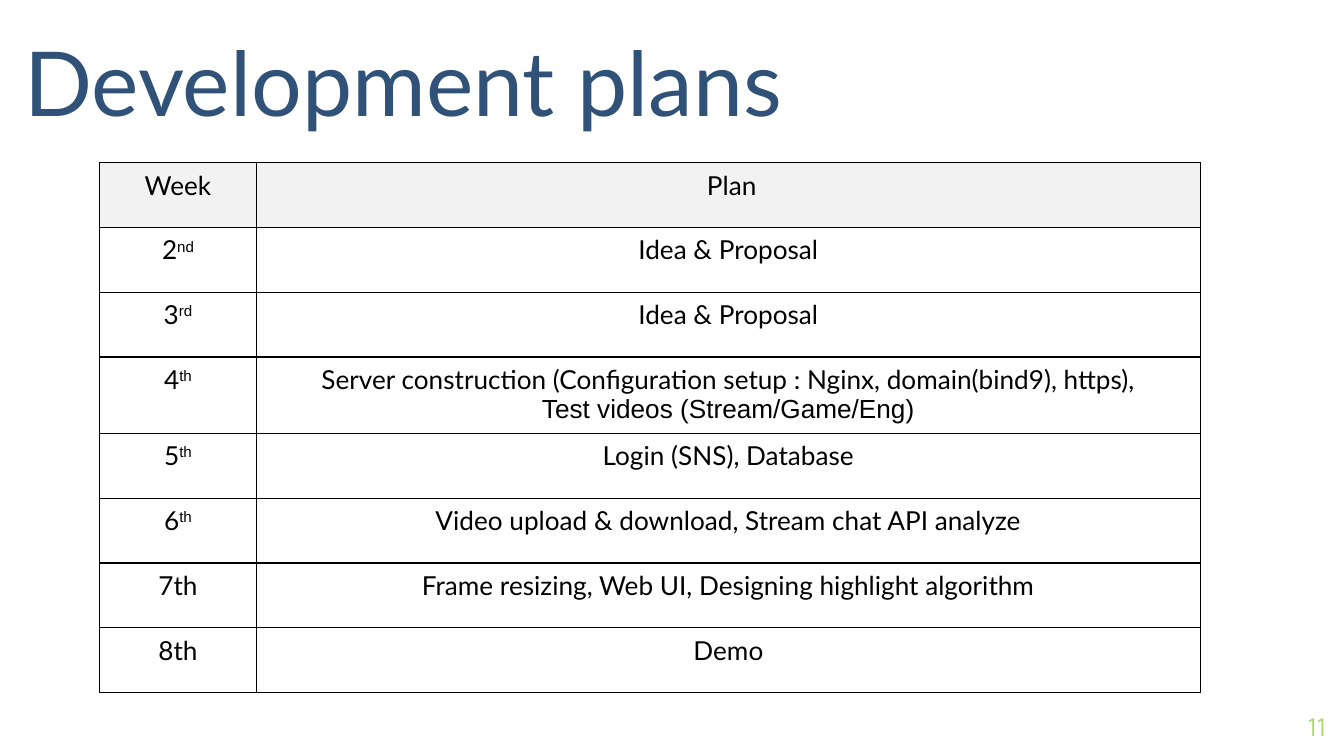
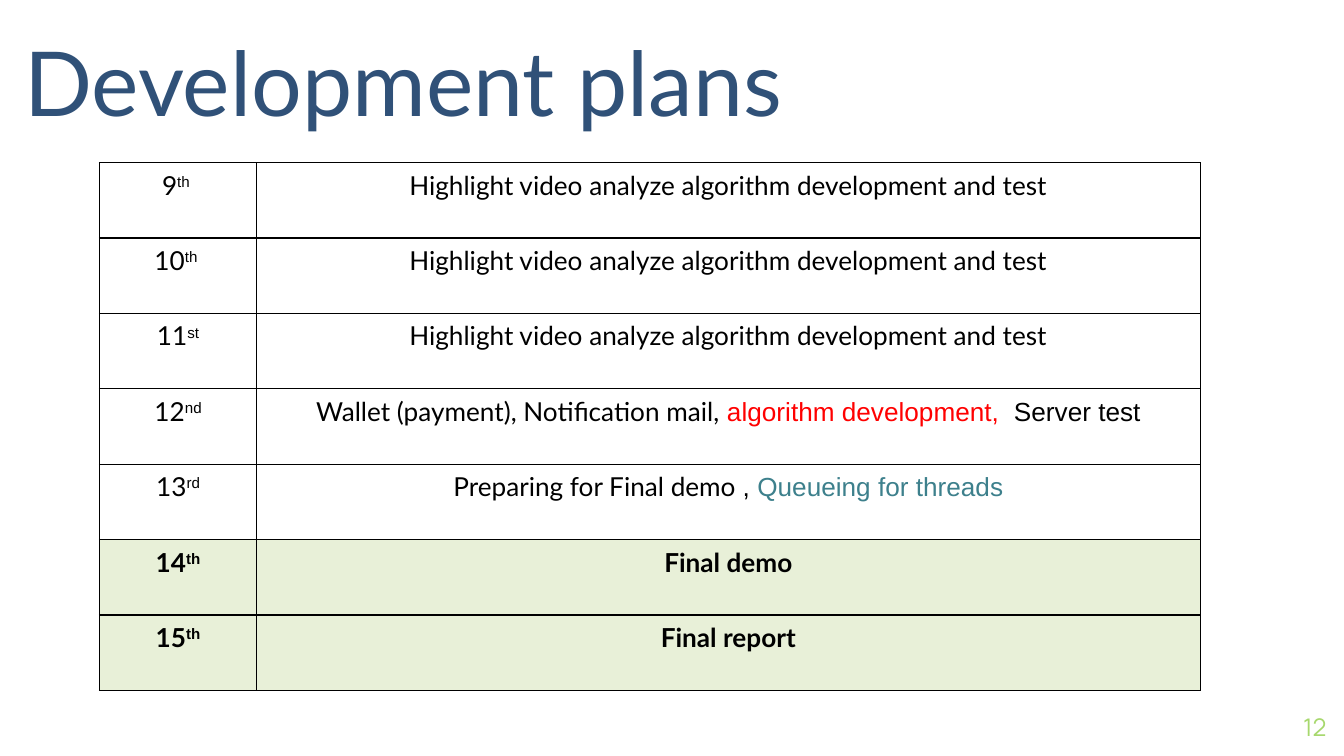
from lxml import etree
from pptx import Presentation
from pptx.dml.color import RGBColor
from pptx.enum.text import MSO_ANCHOR, PP_ALIGN
from pptx.oxml.ns import qn
from pptx.util import Pt

LEFT, CENTER, RIGHT = PP_ALIGN.LEFT, PP_ALIGN.CENTER, PP_ALIGN.RIGHT
MIDDLE, BOTTOM = MSO_ANCHOR.MIDDLE, MSO_ANCHOR.BOTTOM

BLACK, WHITE, GREY, PALE_GREEN = "000000", "FFFFFF", "F2F2F2", "E8F0D8"
NAVY, LIME, RED, TEAL = "305178", "A7D86D", "FF0000", "3D808C"

TITLE_STYLE = {"name": "Lato", "size": Pt(48), "color": NAVY}
NUMBER_STYLE = {"name": "Manrope", "size": Pt(13), "color": LIME}
CELL_STYLE = {"name": "Lato", "size": Pt(14), "color": BLACK, "bold": False}
ARIAL = {"name": "Arial"}
SUPERSCRIPT = {"name": "Arial", "baseline": "30000"}

TITLE_BOX = (13, 4.3, 496, 67.7)
NUMBER_BOX = (667.4, 373.7, 43.2, 31)
TABLE_BOX = (53.3, 87.1, 589.7, 283)
COLUMN_WIDTHS = (84.2, 505.5)


def colour(value):
    return RGBColor.from_string(value)


def add_span(para, text, style):
    span = para.add_run()
    span.text = text
    for key, value in style.items():
        if key == "color":
            span.font.color.rgb = colour(value)
        elif key == "baseline":
            span._r.get_or_add_rPr().set(key, value)
        else:
            setattr(span.font, key, value)


def add_text(page, area, text, style, align, anchor):
    box = page.shapes.add_textbox(*map(Pt, area))
    frame = box.text_frame
    settings = {"word_wrap": True, "vertical_anchor": anchor}
    settings.update({f"margin_{side}": 0 for side in ("left", "top", "right", "bottom")})
    for key, value in settings.items():
        setattr(frame, key, value)
    para = frame.paragraphs[0]
    para.alignment = align
    add_span(para, text, style)


def add_borders(cell):
    properties = cell._tc.get_or_add_tcPr()
    for side in ("lnL", "lnR", "lnT", "lnB"):
        line = etree.SubElement(properties, qn(f"a:{side}"), w=str(Pt(0.75)))
        fill = etree.SubElement(line, qn("a:solidFill"))
        etree.SubElement(fill, qn("a:srgbClr"), val=BLACK)


def fill_cell(cell, lines, fill, bold):
    add_borders(cell)
    cell.fill.solid()
    cell.fill.fore_color.rgb = colour(fill)
    for index, spans in enumerate(lines):
        frame = cell.text_frame
        para = frame.add_paragraph() if index else frame.paragraphs[0]
        para.alignment = CENTER
        for text, style in spans:
            add_span(para, text, {**CELL_STYLE, "bold": bold, **style})


def add_plan_table(page, area, row_height, rows):
    frame = page.shapes.add_table(len(rows), len(COLUMN_WIDTHS), *map(Pt, area))
    table = frame.table
    table.first_row = table.horz_banding = False
    for column, width in zip(table.columns, COLUMN_WIDTHS):
        column.width = Pt(width)
    for row, (week, plan, fill, bold) in zip(table.rows, rows):
        row.height = Pt(row_height)
        for cell, lines in zip(row.cells, (week, plan)):
            fill_cell(cell, lines, fill, bold)


def plan_row(number, suffix, *lines, fill=WHITE, bold=False):
    week = [(number, {})] + ([(suffix, SUPERSCRIPT)] if suffix else [])
    plan = [[(line, {})] if isinstance(line, str) else line for line in lines]
    return [week], plan, fill, bold


def add_plan_page(deck, number, row_height, rows):
    page = deck.slides.add_slide(deck.slide_layouts[6])
    add_text(page, NUMBER_BOX, str(number), NUMBER_STYLE, RIGHT, MIDDLE)
    add_text(page, TITLE_BOX, "Development plans", TITLE_STYLE, LEFT, BOTTOM)
    add_plan_table(page, TABLE_BOX, row_height, rows)


HIGHLIGHT = "Highlight video analyze algorithm development and test"

FIRST_HALF = [
    plan_row("Week", "", " Plan", fill=GREY),
    plan_row("2", "nd", "Idea & Proposal"),
    plan_row("3", "rd", "Idea & Proposal"),
    plan_row("4", "th",
             "Server construction (Configuration setup : Nginx, domain(bind9), https),",
             [("Test videos (Stream/Game/Eng)", ARIAL)]),
    plan_row("5", "th", "Login (SNS), Database"),
    plan_row("6", "th", "Video upload & download, Stream chat API analyze"),
    plan_row("7th", "", "Frame resizing, Web UI, Designing highlight algorithm"),
    plan_row("8th", "", "Demo"),
]

SECOND_HALF = [
    plan_row("9", "th ", HIGHLIGHT),
    plan_row("10", "th ", HIGHLIGHT),
    plan_row("11", "st", HIGHLIGHT),
    plan_row("12", "nd", [("Wallet (payment), Notification mail,", {}),
                          (" algorithm development, ", {**ARIAL, "color": RED}),
                          (" Server test", ARIAL)]),
    plan_row("13", "rd", [("Preparing for Final demo ", {}),
                          (", ", ARIAL),
                          ("Queueing for threads", {**ARIAL, "color": TEAL})]),
    plan_row("14", "th", "Final demo", fill=PALE_GREEN, bold=True),
    plan_row("15", "th", "Final report", fill=PALE_GREEN, bold=True),
]


def main():
    deck = Presentation()
    deck.slide_width, deck.slide_height = Pt(720), Pt(405)
    add_plan_page(deck, 11, 34.75, FIRST_HALF)
    add_plan_page(deck, 12, 40.4, SECOND_HALF)
    deck.save("out.pptx")


if __name__ == "__main__":
    main()
